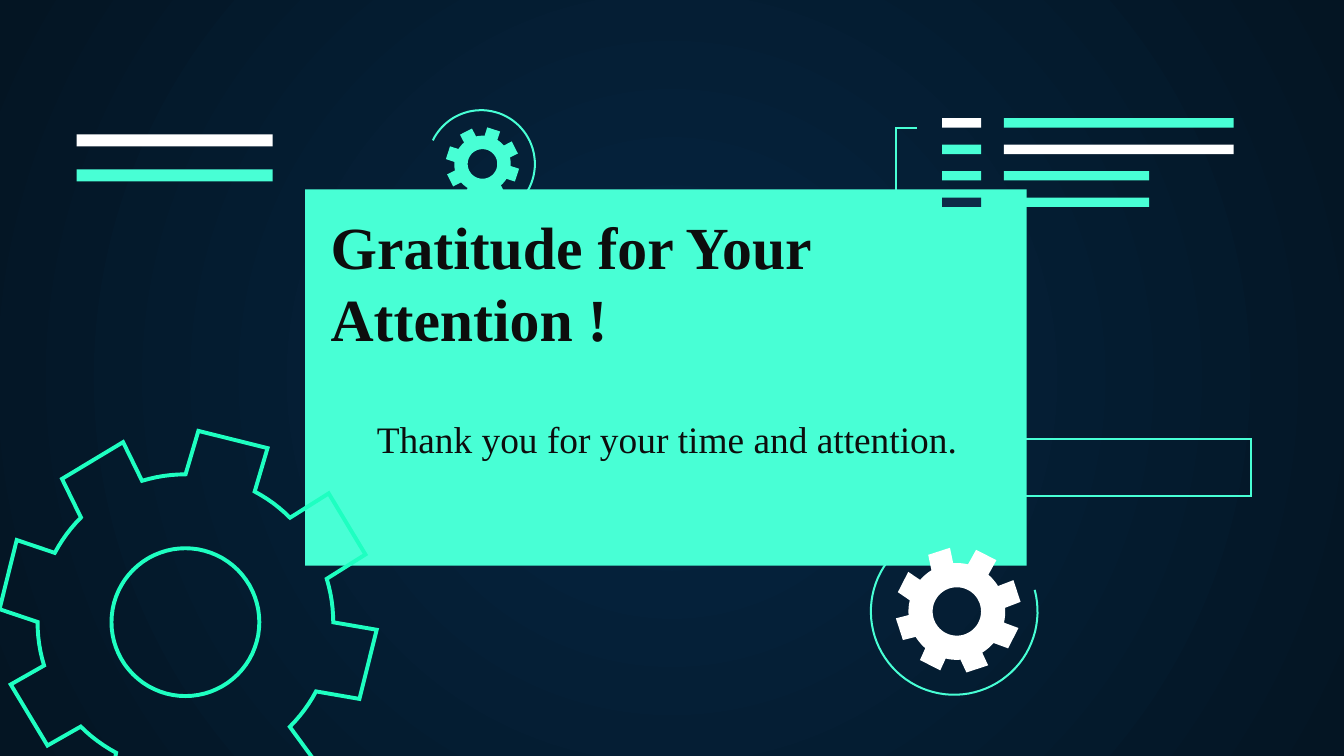
from math import asin, cos, degrees, hypot, radians, sin

from lxml import etree
from pptx import Presentation
from pptx.dml.color import RGBColor
from pptx.enum.shapes import MSO_SHAPE as Preset
from pptx.enum.text import MSO_ANCHOR as Anchor, MSO_AUTO_SIZE as AutoSize, PP_ALIGN as Align
from pptx.oxml.ns import qn
from pptx.util import Inches, Pt

COLORS = {
    "center": "052643",
    "edge": "041523",
    "mint": "48FFD5",
    "bright_mint": "1EFFC1",
    "white": "FFFFFF",
    "navy": "0E2A47",
    "text": "0D0D0D",
}
FONT = "Times New Roman"
TEETH = 8
THIN = 1.09
WIDTH = 10
HEIGHT = WIDTH * 9 / 16


def color(name):
    return RGBColor.from_string(COLORS[name])


def paint(shape, fill=None, line=None, width=THIN):
    shape.shadow.inherit = False
    if fill:
        shape.fill.solid()
        shape.fill.fore_color.rgb = color(fill)
    else:
        shape.fill.background()
    if line:
        shape.line.color.rgb = color(line)
        shape.line.width = Pt(width)
        # Sharp corners
        etree.SubElement(shape.element.find(".//" + qn("a:ln")), qn("a:miter"), lim="800000")
    else:
        shape.line.fill.background()


def set_radial_background(slide):
    fill = slide.background.fill
    fill.gradient()
    for stop, name in zip(fill.gradient_stops, ("center", "edge")):
        stop.color.rgb = color(name)
    gradient = slide.element.find(".//" + qn("a:gradFill"))
    gradient.remove(gradient.find(qn("a:lin")))
    circle = etree.SubElement(gradient, qn("a:path"), path="circle")
    etree.SubElement(circle, qn("a:fillToRect"), l="50000", t="50000", r="50000", b="50000")


def add_rectangle(slide, left, top, width, height, **style):
    shape = slide.shapes.add_shape(
        Preset.RECTANGLE, Inches(left), Inches(top), Inches(width), Inches(height))
    paint(shape, **style)


def polar(center, radius, angle):
    """Point at an angle in degrees, clockwise from the top."""
    turn = radians(angle)
    return center[0] + radius * sin(turn), center[1] - radius * cos(turn)


def arc(center, radius, start, end, steps):
    step = (end - start) / steps
    return [polar(center, radius, start + step * i) for i in range(steps + 1)]


def add_outline(slide, contours, close=True, **style):
    contours = [[(Inches(x), Inches(y)) for x, y in points] for points in contours]
    builder = slide.shapes.build_freeform(*contours[0][0])
    for index, points in enumerate(contours):
        if index:
            builder.move_to(*points[0])
        builder.add_line_segments(points[1:], close=close)
    paint(builder.convert_to_shape(), **style)


def add_gear(slide, center, axle, tip, hub, hole, tooth, angle, **style):
    """Teeth stand around center; hub and hole are round the axle."""
    corner = hypot(tip, tooth / 2)
    corner_angle = degrees(asin(tooth / 2 / corner))
    root_angle = degrees(asin(tooth / 2 / hub))
    pitch = 360 / TEETH
    rim = []
    for i in range(TEETH):
        middle = angle + i * pitch
        rim += arc(center, corner, middle - corner_angle, middle + corner_angle, 1)
        rim += arc(axle, hub, middle + root_angle, middle + pitch - root_angle, 6)
    add_outline(slide, [rim, arc(axle, hole, 360, 0, 72)], **style)


def set_text(shape, box, text, size, align, bold=False):
    shape.left, shape.top, shape.width, shape.height = [Inches(value) for value in box]
    frame = shape.text_frame
    frame.text = text
    frame.word_wrap = True
    frame.auto_size = AutoSize.NONE
    frame.vertical_anchor = Anchor.BOTTOM
    frame.margin_left = frame.margin_right = Inches(0.1)
    frame.margin_top = frame.margin_bottom = Inches(0.1)
    paragraph = frame.paragraphs[0]
    paragraph.alignment = align
    paragraph.line_spacing = 1.0
    font = paragraph.runs[0].font
    font.name, font.size, font.bold = FONT, Pt(size), bold
    font.color.rgb = color("text")
    return frame


def add_decorations(slide):
    # Gears and the arcs around them
    add_outline(slide, [arc((3.58, 1.22), 0.4, -64, 186, 60)], close=False, line="mint")
    add_outline(slide, [arc((7.1, 4.55), 0.62, 75, 323, 60)], close=False, line="mint")
    add_gear(slide, (1.4, 4.61), (1.38, 4.63), tip=1.38, hub=1.1, hole=0.55, tooth=0.53,
             angle=14, line="bright_mint", width=2.1)
    add_gear(slide, (7.13, 4.54), (7.12, 4.55), tip=0.46, hub=0.36, hole=0.18, tooth=0.17,
             angle=27, fill="white")
    add_gear(slide, (3.59, 1.22), (3.59, 1.22), tip=0.27, hub=0.21, hole=0.11, tooth=0.1,
             angle=18, fill="mint")

    # Bar list at top right: short marker, then long bar
    rows = [("white", "mint", 1.71), ("mint", "white", 1.71),
            ("mint", "mint", 1.08), ("navy", "mint", 1.08)]
    for i, (marker, bar, length) in enumerate(rows):
        top = 0.88 + i * 0.59 / 3
        add_rectangle(slide, 7.01, top, 0.29, 0.07, fill=marker)
        add_rectangle(slide, 7.47, top, length, 0.07, fill=bar)
    bracket = [(6.83, 1.56), (6.67, 1.56), (6.67, 0.95), (6.82, 0.95)]
    add_outline(slide, [bracket], close=False, line="mint")

    # Bar pair at top left and frame at right
    for top, name in ((1, "white"), (1.26, "mint")):
        add_rectangle(slide, 0.57, top, 1.46, 0.09, fill=name)
    add_rectangle(slide, 7.2, 3.27, 2.11, 0.42, line="mint")


def add_message(slide):
    thanks = slide.shapes.add_textbox(0, 0, 0, 0)
    frame = set_text(thanks, (2.58, 2.73, 4.84, 1),
                     "Thank you for your time and attention.", 20, Align.CENTER)
    frame.margin_right = Inches(0.17)
    frame.margin_bottom = Inches(0.3)

    # Heading goes in front of the panel
    title = slide.shapes.title
    set_text(title, (2.36, 1.74, 4.84, 0.99),
             "Gratitude for Your Attention !", 32, Align.LEFT, bold=True)
    thanks.element.addnext(title.element)


def main():
    presentation = Presentation()
    presentation.slide_width = Inches(WIDTH)
    presentation.slide_height = Inches(HEIGHT)
    slide = presentation.slides.add_slide(presentation.slide_layouts[5])
    set_radial_background(slide)
    add_rectangle(slide, 2.27, 1.41, 5.37, 2.8, fill="mint")
    add_decorations(slide)
    add_message(slide)
    presentation.save("out.pptx")


if __name__ == "__main__":
    main()
